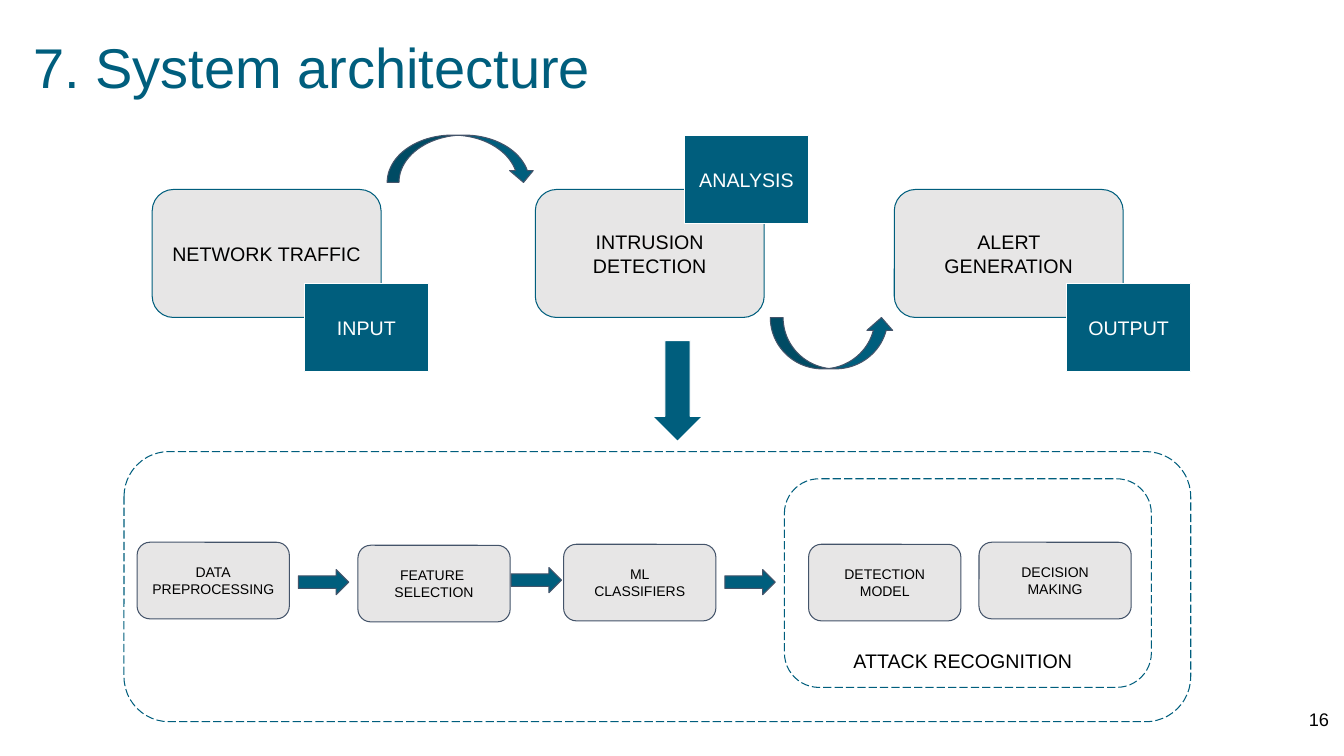
"""Build the system architecture slide."""
from dataclasses import dataclass

from pptx import Presentation
from pptx import util as u
from pptx.dml.color import RGBColor
from pptx.enum import dml, shapes, text

COLORS = {
    "teal": "005E7D",
    "gray": "E7E6E6",
    "slate": "44546A",
    "black": "000000",
    "white": "FFFFFF",
}
KIND = shapes.MSO_SHAPE
LEFT, CENTER, RIGHT = text.PP_ALIGN.LEFT, text.PP_ALIGN.CENTER, text.PP_ALIGN.RIGHT
TOP, MIDDLE = text.MSO_ANCHOR.TOP, text.MSO_ANCHOR.MIDDLE


@dataclass(frozen=True)
class Style:
    """Look shared by a family of elements."""
    kind: shapes.MSO_SHAPE
    line: str
    fill: str | None = None
    ink: str = "black"
    size: float = 14


@dataclass(frozen=True)
class Element:
    """One drawn element, measured in inches."""
    style: Style
    left: float
    top: float
    width: float
    height: float
    label: str = ""


STAGE = Style(KIND.ROUNDED_RECTANGLE, "teal", "gray")
TAG = Style(KIND.RECTANGLE, "white", "teal", "white")
FRAME = Style(KIND.ROUNDED_RECTANGLE, "teal")
STEP = Style(KIND.ROUNDED_RECTANGLE, "slate", "gray", size=10)
CURVE_UP = Style(KIND.CURVED_UP_ARROW, "slate", "teal")
CURVE_DOWN = Style(KIND.CURVED_DOWN_ARROW, "slate", "teal")
DETAIL_ARROW = Style(KIND.DOWN_ARROW, "white", "teal")
STEP_ARROW = Style(KIND.RIGHT_ARROW, "slate", "teal")

STAGES = [(1.51, "NETWORK TRAFFIC"), (5.31, "INTRUSION DETECTION"), (8.87, "ALERT GENERATION")]
TAGS = [(3.02, 2.81, "INPUT"), (10.58, 2.81, "OUTPUT"), (6.79, 1.34, "ANALYSIS")]
STEPS = [
    (1.36, 5.38, "DATA\nPREPROCESSING"),
    (3.55, 5.41, "FEATURE \nSELECTION"),
    (5.59, 5.4, "ML\nCLASSIFIERS"),
    (9.71, 5.38, "DECISION MAKING"),
    (8.02, 5.4, "DETECTION MODEL"),
]
STEP_ARROWS = [(2.96, 5.65), (5.07, 5.63), (7.19, 5.65)]

ELEMENTS = [
    *(Element(STAGE, left, 1.88, 2.27, 1.27, label) for left, label in STAGES),
    *(Element(TAG, left, top, 1.23, 0.88, label) for left, top, label in TAGS),
    Element(FRAME, 1.23, 4.48, 10.58, 2.68),
    Element(CURVE_UP, 7.64, 3.15, 1.23, 0.51),
    Element(CURVE_DOWN, 3.84, 1.34, 1.47, 0.47),
    Element(FRAME, 7.78, 4.75, 3.64, 2.07),
    *(Element(STEP, left, top, 1.51, 0.76, label) for left, top, label in STEPS),
    Element(DETAIL_ARROW, 6.47, 3.38, 0.5, 1),
    *(Element(STEP_ARROW, left, top, 0.5, 0.25) for left, top in STEP_ARROWS),
]


def rgb(name: str) -> RGBColor:
    """Return a named colour."""
    return RGBColor.from_string(COLORS[name])


def write(holder, content: str, *, size: float = 14, ink: str = "black",
          align=CENTER, anchor=MIDDLE) -> None:
    """Fill a shape with formatted text."""
    frame = holder.text_frame
    frame.text = content
    frame.word_wrap = True
    frame.auto_size = text.MSO_AUTO_SIZE.NONE
    frame.vertical_anchor = anchor
    frame.margin_left = frame.margin_right = u.Inches(0.1)
    frame.margin_top = frame.margin_bottom = u.Inches(0.1)
    for paragraph in frame.paragraphs:
        paragraph.alignment = align
        for run in paragraph.runs:
            run.font.name = "Arial"
            run.font.size = u.Pt(size)
            run.font.color.rgb = rgb(ink)


def draw(slide, element: Element) -> None:
    """Draw one element with its style and label."""
    style = element.style
    box = (element.left, element.top, element.width, element.height)
    shape = slide.shapes.add_shape(style.kind, *map(u.Inches, box))
    shape.shadow.inherit = False
    shape.line.color.rgb = rgb(style.line)
    shape.line.width = u.Pt(0.75)
    if style.fill:
        shape.fill.solid()
        shape.fill.fore_color.rgb = rgb(style.fill)
    else:
        shape.fill.background()
        shape.line.dash_style = dml.MSO_LINE.LONG_DASH
    if element.label:
        write(shape, element.label, size=style.size, ink=style.ink)


def main() -> None:
    """Assemble and save the slide."""
    deck = Presentation()
    deck.slide_width, deck.slide_height = u.Inches(13.33), u.Inches(7.5)
    slide = deck.slides.add_slide(deck.slide_layouts[5])

    heading = slide.shapes.title
    heading.left, heading.top = u.Inches(0.23), u.Inches(0.22)
    heading.width, heading.height = u.Inches(8.12), u.Inches(0.88)
    write(heading, "7. System architecture", size=40, ink="teal", align=LEFT)

    for element in ELEMENTS:
        draw(slide, element)

    recognition = slide.shapes.add_textbox(*map(u.Inches, (8.26, 6.34, 2.58, 0.44)))
    write(recognition, "ATTACK RECOGNITION", anchor=TOP)
    page_number = slide.shapes.add_textbox(*map(u.Inches, (12.48, 6.93, 0.8, 0.57)))
    write(page_number, "16", size=13, align=RIGHT, anchor=TOP)

    deck.save("out.pptx")


if __name__ == "__main__":
    main()
